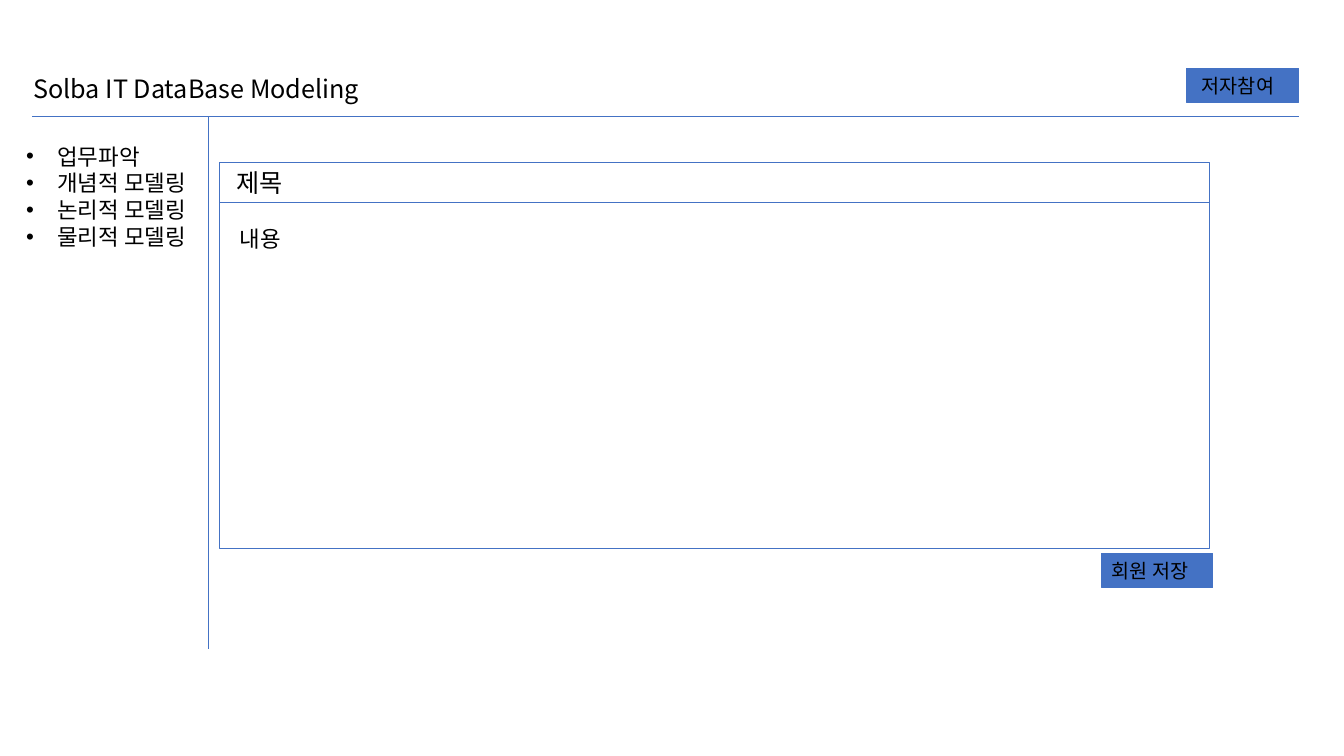
"""Build the author contribution screen of a database modeling site."""
from lxml import etree
from pptx import Presentation
from pptx.dml.color import RGBColor
from pptx.enum.shapes import MSO_CONNECTOR, MSO_SHAPE
from pptx.enum.text import MSO_ANCHOR, MSO_AUTO_SIZE, PP_ALIGN
from pptx.oxml.ns import qn
from pptx.util import Inches, Pt

RECTANGLE = MSO_SHAPE.RECTANGLE
STRAIGHT = MSO_CONNECTOR.STRAIGHT
LEFT = PP_ALIGN.LEFT
MIDDLE, TOP = MSO_ANCHOR.MIDDLE, MSO_ANCHOR.TOP
NO_AUTOFIT = MSO_AUTO_SIZE.NONE
FONT = "Noto Sans CJK KR"
BLUE, BLACK = "4472C4", "000000"
GRID = Inches(0.1)
RULE_ROW, DIVIDER_COLUMN = 11.55, 20.65
PANEL_COLUMN, PANEL_WIDTH = 21.8, 98.2
HEADING_ROW, HEADING_HEIGHT, CONTENT_HEIGHT = 16.1, 4, 34.35
CONTENT_ROW = HEADING_ROW + HEADING_HEIGHT


def color(value):
    return RGBColor.from_string(value)


def write(shape, lines, size, anchor=MIDDLE, indent=1):
    frame = shape.text_frame
    frame.text = "\n".join(lines)
    settings = {
        "auto_size": NO_AUTOFIT, "word_wrap": True, "vertical_anchor": anchor,
        "margin_left": int(indent * GRID), "margin_right": 0,
        "margin_top": GRID // 2, "margin_bottom": GRID // 2,
    }
    for name, value in settings.items():
        setattr(frame, name, value)
    for paragraph in frame.paragraphs:
        paragraph.alignment = LEFT
        paragraph.space_before = Pt(0)
        font = paragraph.runs[0].font
        for name, value in {"name": FONT, "size": Pt(size), "bold": False}.items():
            setattr(font, name, value)
        font.color.rgb = color(BLACK)
        latin = font._element.find(qn("a:latin"))
        east_asian = etree.Element(qn("a:ea"), typeface=FONT)
        latin.addnext(east_asian)


presentation = Presentation()
presentation.slide_width = Inches(13.33)
presentation.slide_height = Inches(7.5)
slide = presentation.slides.add_slide(presentation.slide_layouts[1])
shapes = slide.shapes
title, menu = shapes.title, slide.placeholders[1]

for placeholder, bounds in ((title, (2.3, 6.8, 34.7, 4)), (menu, (1.6, 13.65, 21.2, 11.8))):
    for name, value in zip(("left", "top", "width", "height"), bounds):
        setattr(placeholder, name, int(value * GRID))

write(title, ["Solba IT DataBase Modeling"], 18)
write(menu, ["업무파악", "개념적 모델링", "논리적 모델링", "물리적 모델링"], 16, TOP)
for paragraph in menu.text_frame.paragraphs:
    paragraph.line_spacing = Pt(19.2)
    properties = paragraph._p.get_or_add_pPr()
    properties.set("marL", str(Inches(0.31)))
    properties.set("indent", str(-Inches(0.31)))
    etree.SubElement(properties, qn("a:buFont"), typeface="Arial")
    etree.SubElement(properties, qn("a:buChar"), char="•")

rules = [
    (3.2, RULE_ROW, 128.8, RULE_ROW),
    (DIVIDER_COLUMN, RULE_ROW, DIVIDER_COLUMN, 64.4),
]
for ends in rules:
    rule = shapes.add_connector(STRAIGHT, *(int(end * GRID) for end in ends))
    rule.line.color.rgb = color(BLUE)
    rule.line.width = Pt(0.5)
    etree.SubElement(rule._element.spPr, qn("a:effectLst"))

boxes = [
    ((117.7, 6.75, 11.1, 3.4), True, "저자참여", 14, 1.5),
    ((109.3, 54.9, 11, 3.4), True, "회원 저장", 14, 1),
    ((PANEL_COLUMN, CONTENT_ROW, PANEL_WIDTH, CONTENT_HEIGHT), False, "", 16, 1),
    ((PANEL_COLUMN, HEADING_ROW, PANEL_WIDTH, HEADING_HEIGHT), False, "제목", 18, 1.65),
]
for bounds, filled, label, size, indent in boxes:
    box = shapes.add_shape(RECTANGLE, *(int(length * GRID) for length in bounds))
    box.shadow.inherit = False
    box.line.color.rgb = color(BLUE)
    box.line.width = Pt(0.75)
    if filled:
        box.fill.solid()
        box.fill.fore_color.rgb = color(BLUE)
    else:
        box.fill.background()
    if label:
        write(box, [label], size, indent=indent)

content = shapes.add_textbox(*(int(length * GRID) for length in (22.8, 21.85, 6.5, 3.7)))
write(content, ["내용"], 16)

presentation.save("out.pptx")
